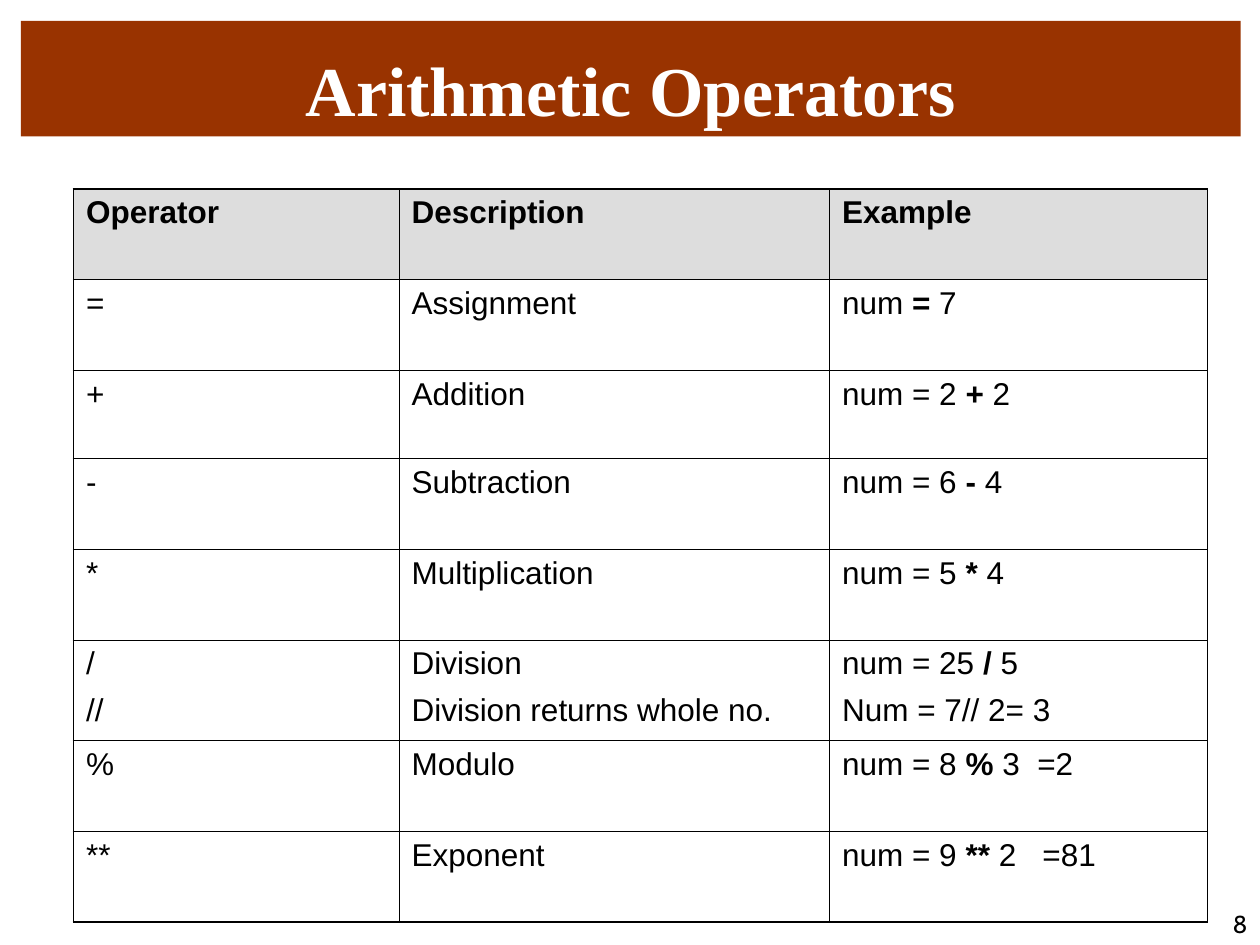
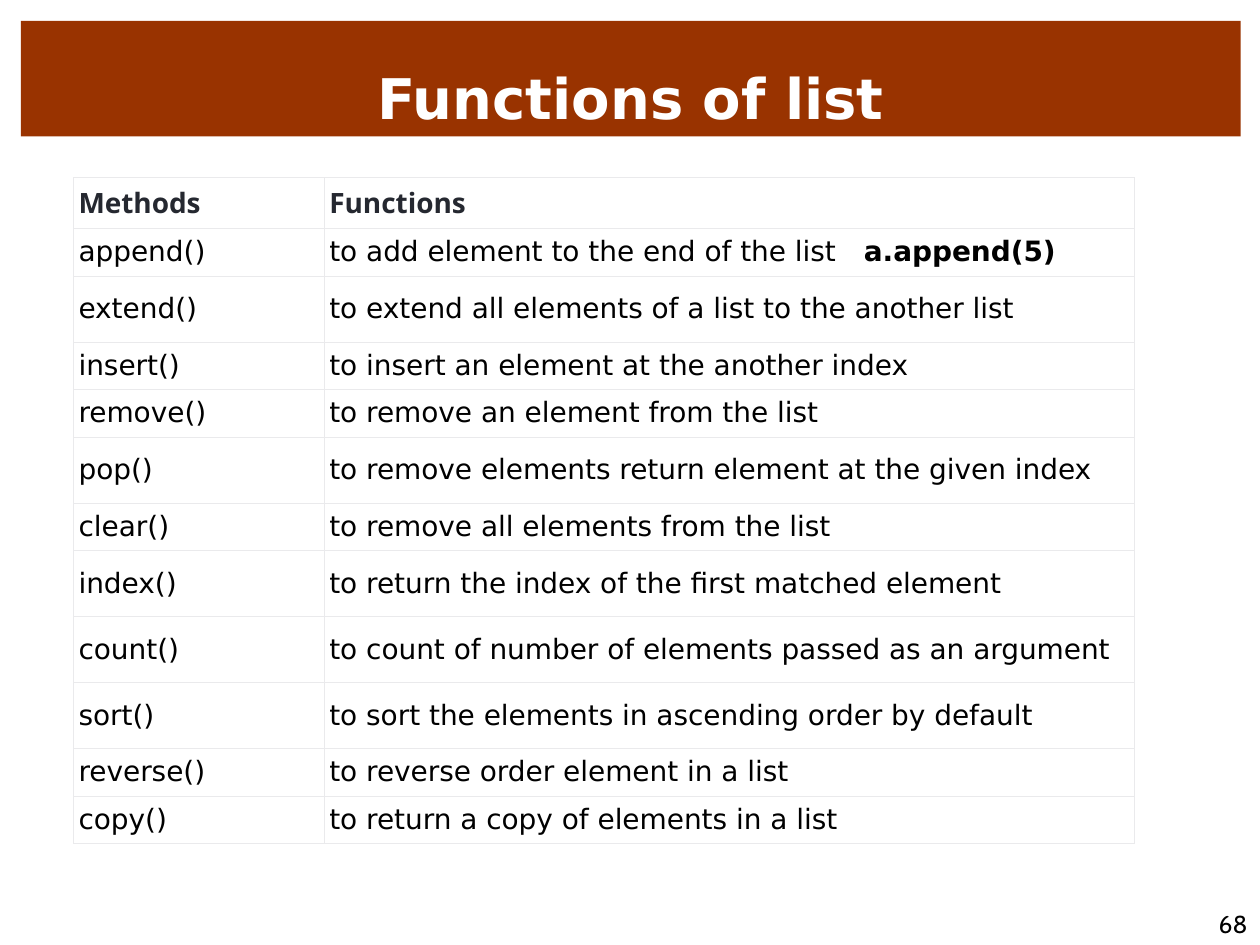
from dataclasses import dataclass

import pptx
import pptx.dml.color
import pptx.enum.shapes
import pptx.enum.text
import pptx.oxml
import pptx.oxml.ns
import pptx.util

Pt = pptx.util.Pt
Align = pptx.enum.text.PP_ALIGN
Anchor = pptx.enum.text.MSO_ANCHOR


@dataclass(frozen=True)
class Theme:
    band: str = "993300"
    white: str = "FFFFFF"
    black: str = "000000"
    header_grey: str = "DDDDDD"
    header_ink: str = "252830"
    pale_rule: str = "EAEAEC"
    serif: str = "Times New Roman"
    sans: str = "Arial"
    wide_sans: str = "DejaVu Sans"
    header_sans: str = "Open Sans"
    number_font: str = "Cabin"
    serif_title_size: float = 40
    sans_title_size: float = 32
    operator_size: float = 18
    method_size: float = 16
    number_size: float = 14


THEME = Theme()


@dataclass(frozen=True)
class TableStyle:
    size: float
    header_font: str
    header_ink: str
    header_fill: str
    body_font: str
    body_fill: str | None
    rule: str
    inner_width: float
    outer_width: float
    side_margin: float
    anchor: Anchor
    space_before: float


OPERATOR_STYLE = TableStyle(
    THEME.operator_size, THEME.sans, THEME.black, THEME.header_grey, THEME.sans, None,
    THEME.black, 0.45, 1.08, 7.2, Anchor.TOP, 6.8)
METHOD_STYLE = TableStyle(
    THEME.method_size, THEME.header_sans, THEME.header_ink, THEME.white, THEME.wide_sans,
    THEME.white, THEME.pale_rule, 0.34, 0.34, 2.9, Anchor.MIDDLE, 0)

# Each row is its height and its cells; bars enclose bold text
OPERATOR_COLUMNS = (186, 246, 216)
OPERATOR_ROWS = [
    (51.84, "Operator", "Description", "Example"),
    (51.84, "=", "Assignment", "num |=| 7"),
    (50.4, "+", "Addition", "num = 2 |+| 2"),
    (51.84, "-", "Subtraction", "num = 6 |- |4"),
    (51.84, "*", "Multiplication", "num = 5 |*| 4"),
    (57.6, "/\n//", "Division\nDivision returns whole no.", "num = 25 |/| 5\nNum = 7// 2= 3"),
    (51.84, "%", "Modulo", "num = 8 |%| 3  =2"),
    (51.84, "**", "Exponent", "num = 9 |**| 2   =81"),
]

LOW, HIGH = 27.2, 37.7
METHOD_COLUMNS = (143.3, 463)
METHOD_ROWS = [
    (29, "Methods", "Functions"),
    (LOW, "append()", "to add element to the end of the list  | a.append(5)|"),
    (HIGH, "extend()", "to extend all elements of a list to the another list"),
    (LOW, "insert()", "to insert an element at the another index"),
    (LOW, "remove()", "to remove an element from the list"),
    (HIGH, "pop()", "to remove elements return element at the given index"),
    (LOW, "clear()", "to remove all elements from the list"),
    (HIGH, "index()", "to return the index of the first matched element"),
    (HIGH, "count()", "to count of number of elements passed as an argument"),
    (HIGH, "sort()", "to sort the elements in ascending order by default"),
    (LOW, "reverse()", "to reverse order element in a list"),
    (LOW, "copy()", "to return a copy of elements in a list"),
]


def rgb(code):
    return pptx.dml.color.RGBColor.from_string(code)


def write(frame, text, font, size, color, bold=False, align=Align.LEFT, space_before=0):
    """Fill a text frame: one paragraph a line, bold between bars."""
    for line_index, line in enumerate(text.split("\n")):
        para = frame.add_paragraph() if line_index else frame.paragraphs[0]
        para.alignment = align
        para.space_before = Pt(space_before)
        para.font.name = font
        para.font.size = Pt(size)
        para.font.color.rgb = rgb(color)
        para.font.bold = bold
        for part_index, part in enumerate(line.split("|")):
            if part:
                span = para.add_run()
                span.text = part
                if part_index % 2:
                    span.font.bold = True


def add_title_band(page, text, font, size):
    band = page.shapes.add_shape(
        pptx.enum.shapes.MSO_SHAPE.RECTANGLE, Pt(12), Pt(12), Pt(697), Pt(66))
    band.shadow.inherit = False
    band.fill.solid()
    band.fill.fore_color.rgb = rgb(THEME.band)
    band.line.fill.background()
    band.text_frame.vertical_anchor = Anchor.BOTTOM
    write(band.text_frame, text, font, size, THEME.white, bold=True, align=Align.CENTER)


def add_page_number(page, number):
    box = page.shapes.add_textbox(Pt(612), Pt(504), Pt(108), Pt(36))
    box.text_frame.word_wrap = True
    box.text_frame.vertical_anchor = Anchor.BOTTOM
    write(box.text_frame, str(number), THEME.number_font, THEME.number_size,
          THEME.black, align=Align.RIGHT)


def add_border(cell, side, color, width):
    cell._tc.get_or_add_tcPr().append(pptx.oxml.parse_xml(
        f'<a:ln{side} {pptx.oxml.ns.nsdecls("a")} w="{int(Pt(width))}">'
        f'<a:solidFill><a:srgbClr val="{color}"/></a:solidFill></a:ln{side}>'))


def style_cell(cell, style, is_header, outer_sides):
    cell.margin_left = cell.margin_right = Pt(style.side_margin)
    cell.margin_top = cell.margin_bottom = Pt(3.6)
    cell.vertical_anchor = style.anchor
    for side in "LRTB":
        width = style.outer_width if side in outer_sides else style.inner_width
        add_border(cell, side, style.rule, width)
    fill = style.header_fill if is_header else style.body_fill
    if fill:
        cell.fill.solid()
        cell.fill.fore_color.rgb = rgb(fill)
    else:
        cell.fill.background()


def add_grid(page, left, top, columns, rows, style):
    table = page.shapes.add_table(
        len(rows), len(columns), Pt(left), Pt(top),
        Pt(sum(columns)), Pt(sum(row[0] for row in rows))).table
    table.first_row = table.horz_banding = False
    for column, width in zip(table.columns, columns):
        column.width = Pt(width)
    for row_index, (height, *texts) in enumerate(rows):
        table.rows[row_index].height = Pt(height)
        is_header = row_index == 0
        font = style.header_font if is_header else style.body_font
        ink = style.header_ink if is_header else THEME.black
        for column_index, text in enumerate(texts):
            cell = table.cell(row_index, column_index)
            edges = {"L": column_index == 0, "R": column_index == len(columns) - 1,
                     "T": is_header, "B": row_index == len(rows) - 1}
            style_cell(cell, style, is_header, [side for side in edges if edges[side]])
            write(cell.text_frame, text, font, style.size, ink, bold=is_header,
                  space_before=style.space_before)


def add_page(deck, number, title, title_font, title_size):
    page = deck.slides.add_slide(deck.slide_layouts[6])
    add_page_number(page, number)
    add_title_band(page, title, title_font, title_size)
    return page


def main():
    deck = pptx.Presentation()
    deck.slide_width, deck.slide_height = Pt(720), Pt(540)

    # Operators
    page = add_page(deck, 8, "Arithmetic Operators", THEME.serif, THEME.serif_title_size)
    add_grid(page, 42, 108, OPERATOR_COLUMNS, OPERATOR_ROWS, OPERATOR_STYLE)

    # List methods
    page = add_page(deck, 68, "Functions of list", THEME.wide_sans, THEME.sans_title_size)
    add_grid(page, 42, 101.5, METHOD_COLUMNS, METHOD_ROWS, METHOD_STYLE)

    deck.save("out.pptx")


if __name__ == "__main__":
    main()
